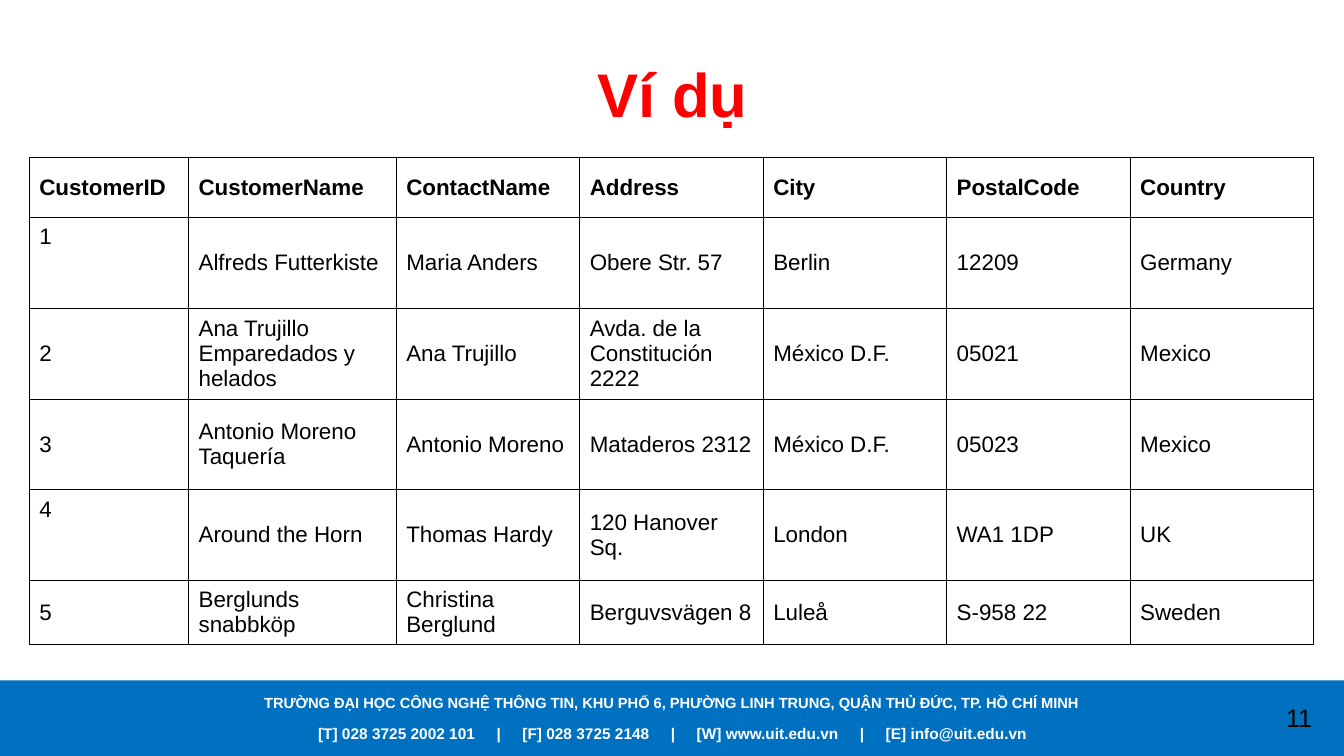
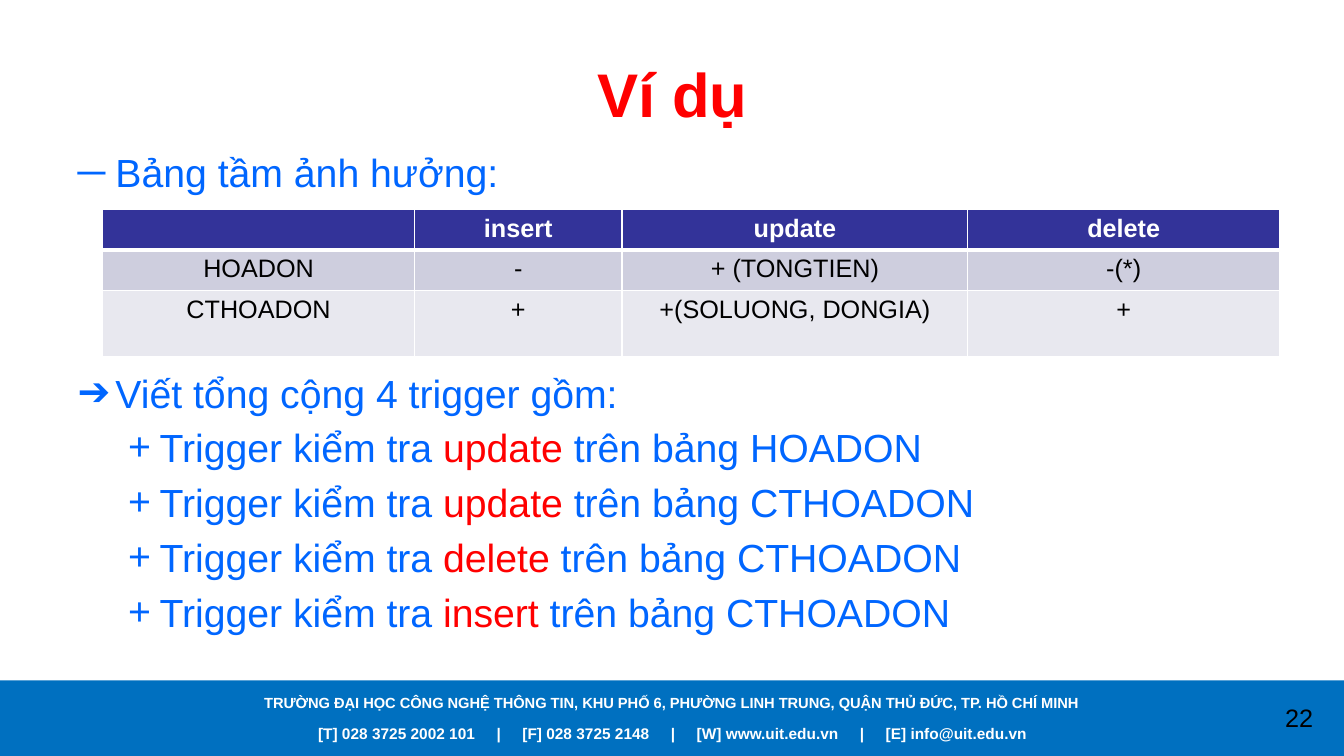
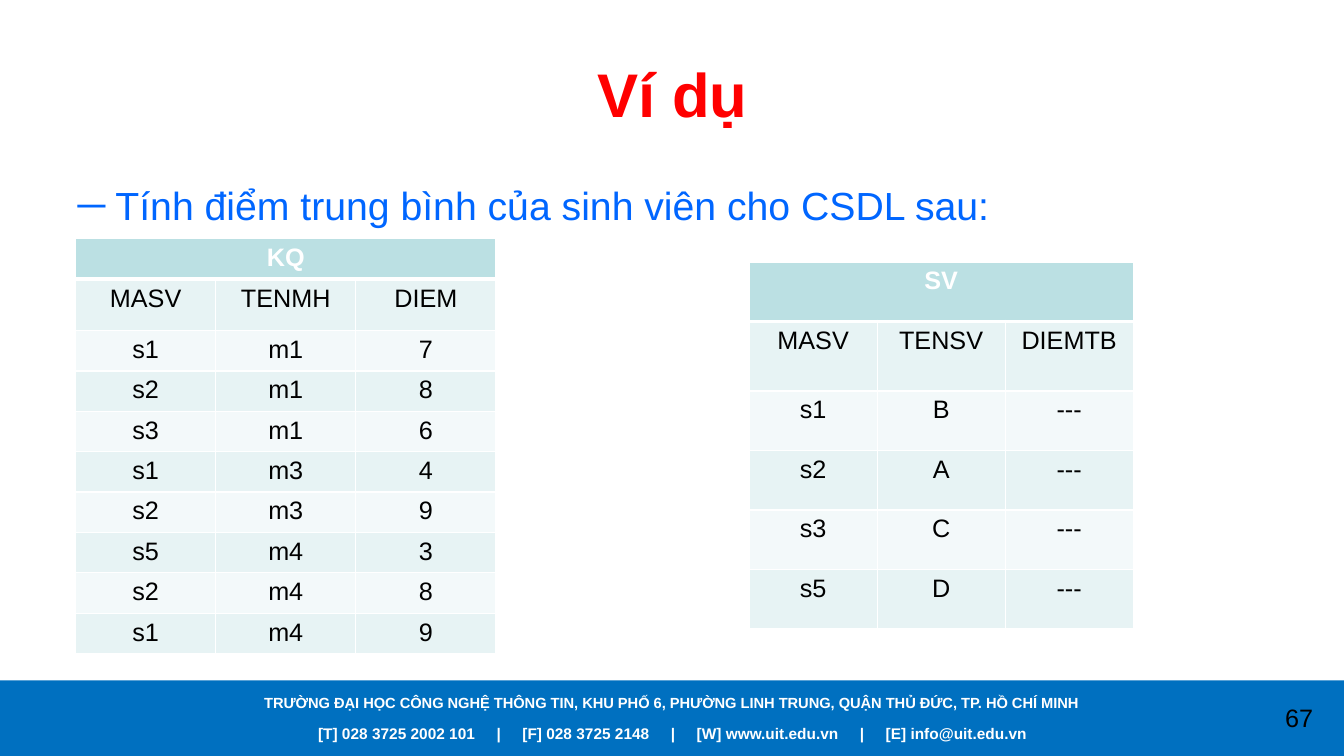
from lxml import etree
from pptx import Presentation
from pptx.dml.color import RGBColor
from pptx.enum.shapes import MSO_SHAPE
from pptx.enum.text import MSO_ANCHOR, MSO_AUTO_SIZE, PP_ALIGN
from pptx.oxml.ns import qn
from pptx.util import Inches, Pt

CENTER, LEFT = PP_ALIGN.CENTER, PP_ALIGN.LEFT
TOP, MIDDLE = MSO_ANCHOR.TOP, MSO_ANCHOR.MIDDLE
NO_AUTOFIT = MSO_AUTO_SIZE.NONE
RECTANGLE = MSO_SHAPE.RECTANGLE

FONT = "Arial"
COLORS = {
    "white": "FFFFFF", "black": "000000", "red": "FF0000",
    "body": "0066FF", "band": "0070C0",
    "navy": "333399", "navy_mid": "CECEDE", "navy_light": "E8E8EF",
    "teal": "BBE0E3", "teal_mid": "E7F3F4", "teal_light": "F3F9FA",
}
NAVY_FILLS = ("navy", "navy_mid", "navy_light")
TEAL_FILLS = ("teal", "teal_mid", "teal_light")
PAGE_WIDTH, PAGE_HEIGHT = 13.33, 7.5
TITLE_BOX = (0.67, 0.3, 12, 1.25)

SCHOOL = ("TRƯỜNG ĐẠI HỌC CÔNG NGHỆ THÔNG TIN, KHU PHỐ 6, "
          "PHƯỜNG LINH TRUNG, QUẬN THỦ ĐỨC, TP. HỒ CHÍ MINH")
CONTACTS = ["[T] 028 3725 2002 101", "[F] 028 3725 2148",
            "[W] www.uit.edu.vn", "[E] info@uit.edu.vn"]

CUSTOMERS = [
    ["CustomerID", "CustomerName", "ContactName", "Address", "City",
     "PostalCode", "Country"],
    ["1", "Alfreds Futterkiste", "Maria Anders", "Obere Str. 57", "Berlin",
     "12209", "Germany"],
    ["2", "Ana Trujillo Emparedados y helados", "Ana Trujillo",
     "Avda. de la Constitución 2222", "México D.F.", "05021", "Mexico"],
    ["3", "Antonio Moreno Taquería", "Antonio Moreno", "Mataderos 2312",
     "México D.F.", "05023", "Mexico"],
    ["4", "Around the Horn", "Thomas Hardy", "120 Hanover Sq.", "London",
     "WA1 1DP", "UK"],
    ["5", "Berglunds snabbköp", "Christina Berglund", "Berguvsvägen 8",
     "Luleå", "S-958 22", "Sweden"],
]
EFFECTS = [
    ["", "insert", "update", "delete"],
    ["HOADON", "-", "+ (TONGTIEN)", "-(*)"],
    ["CTHOADON", "+", "+(SOLUONG, DONGIA)", "+"],
]
TRIGGERS = [("update", "HOADON"), ("update", "CTHOADON"),
            ("delete", "CTHOADON"), ("insert", "CTHOADON")]
RESULTS = [
    ["KQ", "", ""], ["MASV", "TENMH", "DIEM"],
    ["s1", "m1", "7"], ["s2", "m1", "8"], ["s3", "m1", "6"],
    ["s1", "m3", "4"], ["s2", "m3", "9"], ["s5", "m4", "3"],
    ["s2", "m4", "8"], ["s1", "m4", "9"],
]
STUDENTS = [
    ["SV", "", ""], ["MASV", "TENSV", "DIEMTB"],
    ["s1", "B", "---"], ["s2", "A", "---"],
    ["s3", "C", "---"], ["s5", "D", "---"],
]


def rgb(name):
    return RGBColor.from_string(COLORS[name])


def inches(box):
    return [Inches(length) for length in box]


def write(para, text, size=18, color="black", bold=False, align=None,
          spacing=None):
    """Append a formatted run; spacing is extra width per character in points."""
    if align is not None:
        para.alignment = align
    span = para.add_run()
    span.text = text
    span.font.name = FONT
    span.font.size = Pt(size)
    span.font.bold = bold
    span.font.color.rgb = rgb(color)
    if spacing:
        span.font._element.set("spc", str(round(spacing * 100)))


def add_text_line(slide, box):
    frame = slide.shapes.add_textbox(*inches(box)).text_frame
    frame.word_wrap = True
    return frame.paragraphs[0]


def add_footer(slide, number):
    top = 6.75
    band = slide.shapes.add_shape(
        RECTANGLE, *inches((0, top, PAGE_WIDTH, PAGE_HEIGHT - top)))
    band.shadow.inherit = False
    band.fill.solid()
    band.fill.fore_color.rgb = rgb("band")
    band.line.fill.background()

    write(add_text_line(slide, (0, top + 0.08, PAGE_WIDTH, 0.28)), SCHOOL,
          size=10.5, color="white", bold=True, align=CENTER)

    para = add_text_line(slide, (1.56, top + 0.38, 10.22, 0.29))
    style = {"size": 11, "color": "white", "bold": True, "align": CENTER}
    for index, contact in enumerate(CONTACTS):
        if index:
            write(para, " ", spacing=12.2, **style)
            write(para, "|", **style)
            write(para, " ", spacing=12.2, **style)
        write(para, contact, **style)

    write(add_text_line(slide, (12.44, top + 0.17, 0.89, 0.4)), str(number),
          align=CENTER)


def place(placeholder, box):
    placeholder.left, placeholder.top, placeholder.width, placeholder.height = (
        inches(box))
    placeholder.text_frame.auto_size = NO_AUTOFIT
    return placeholder.text_frame


def add_page(deck, layout_name, number):
    slide = deck.slides.add_slide(deck.slide_layouts.get_by_name(layout_name))
    add_footer(slide, number)
    frame = place(slide.shapes.title, TITLE_BOX)
    frame.vertical_anchor = MIDDLE
    write(frame.paragraphs[0], "Ví dụ", size=44, color="red", bold=True,
          align=CENTER)
    return slide


def fill_body(slide, box, items):
    """Write items of (bullet, level, space before, [(text, colour), ...])."""
    frame = place(slide.placeholders[1], box)
    for index, (bullet, level, space, spans) in enumerate(items):
        para = frame.add_paragraph() if index else frame.paragraphs[0]
        para.level = level
        if space:
            para.space_before = Pt(space)
        properties = para._p.get_or_add_pPr()
        etree.SubElement(properties, qn("a:buChar")).set("char", bullet)
        for text, color in spans:
            write(para, text, size=28, color=color)


def set_borders(cell, color, widths):
    """Draw the borders; widths are points for left, right, top and bottom."""
    properties = cell._tc.get_or_add_tcPr()
    for side, width in zip("LRTB", widths):
        line = etree.SubElement(properties, qn(f"a:ln{side}"))
        line.set("w", str(Pt(width)))
        fill = etree.SubElement(line, qn("a:solidFill"))
        etree.SubElement(fill, qn("a:srgbClr")).set("val", COLORS[color])


def add_table(slide, position, columns, heights, rows, fills=None, size=18,
              header="white", border="white", align=CENTER, anchor=TOP,
              merge_header=False):
    """Build a table; fills names the header, odd-row and even-row colours."""
    box = (*position, sum(columns), sum(heights))
    table = slide.shapes.add_table(len(rows), len(columns), *inches(box)).table
    table.first_row = table.horz_banding = False
    for column, width in zip(table.columns, columns):
        column.width = Inches(width)
    for row, height in zip(table.rows, heights):
        row.height = Inches(height)
    rule = 3 if fills else 1
    for r, values in enumerate(rows):
        for c, value in enumerate(values):
            cell = table.cell(r, c)
            set_borders(cell, border, (1, 1, rule if r == 1 else 1,
                                       rule if r == 0 else 1))
            if fills:
                cell.fill.solid()
                cell.fill.fore_color.rgb = rgb(
                    fills[0] if r == 0 else fills[2 - r % 2])
            else:
                cell.fill.background()
            cell.vertical_anchor = anchor
            if value:
                write(cell.text_frame.paragraphs[0], value, size=size,
                      color=header if r == 0 else "black", bold=r == 0,
                      align=align)
    if merge_header:
        table.cell(0, 0).merge(table.cell(0, len(columns) - 1))
    return table


def build_customers(deck):
    slide = add_page(deck, "Title Only", 11)
    table = add_table(slide, (0.29, 1.56), [1.58, 2.06] + [1.82] * 5,
                      [0.6] + [0.9] * 4 + [0.63], CUSTOMERS, size=16,
                      header="black", border="black", align=LEFT,
                      anchor=MIDDLE)
    for row in (1, 4):
        cell = table.cell(row, 0)
        cell.vertical_anchor = TOP
        cell.margin_top = Inches(0.07)


def build_triggers(deck):
    slide = add_page(deck, "Title and Content", 22)
    items = [
        ("─", 0, None, [("Bảng tầm ảnh hưởng:", "body")]),
        ("➔", 0, 124, [("Viết tổng cộng 4 trigger gồm:", "body")]),
    ]
    items += [("+", 1, None, [("Trigger kiểm tra ", "body"),
                              (f"{action} ", "red"),
                              (f"trên bảng {target}", "body")])
              for action, target in TRIGGERS]
    fill_body(slide, (0.67, 1.42, 12, 4.95), items)
    add_table(slide, (1.02, 2.08), [3.09, 2.06, 3.43, 3.09],
              [0.38, 0.38, 0.66], EFFECTS, NAVY_FILLS)


def build_averages(deck):
    slide = add_page(deck, "Title and Content", 67)
    heading = "Tính điểm trung bình của sinh viên cho CSDL sau:"
    fill_body(slide, (0.67, 1.75, 12, 4.95),
              [("─", 0, None, [(heading, "body")])])
    add_table(slide, (0.75, 2.37), [1.39] * 3, [0.38, 0.51] + [0.38] * 8,
              RESULTS, TEAL_FILLS, merge_header=True)
    add_table(slide, (7.43, 2.6), [1.27] * 3, [0.59, 0.69] + [0.59] * 4,
              STUDENTS, TEAL_FILLS, merge_header=True)


def main():
    deck = Presentation()
    deck.slide_width = Inches(PAGE_WIDTH)
    deck.slide_height = Inches(PAGE_HEIGHT)
    build_customers(deck)
    build_triggers(deck)
    build_averages(deck)
    deck.save("out.pptx")


if __name__ == "__main__":
    main()
